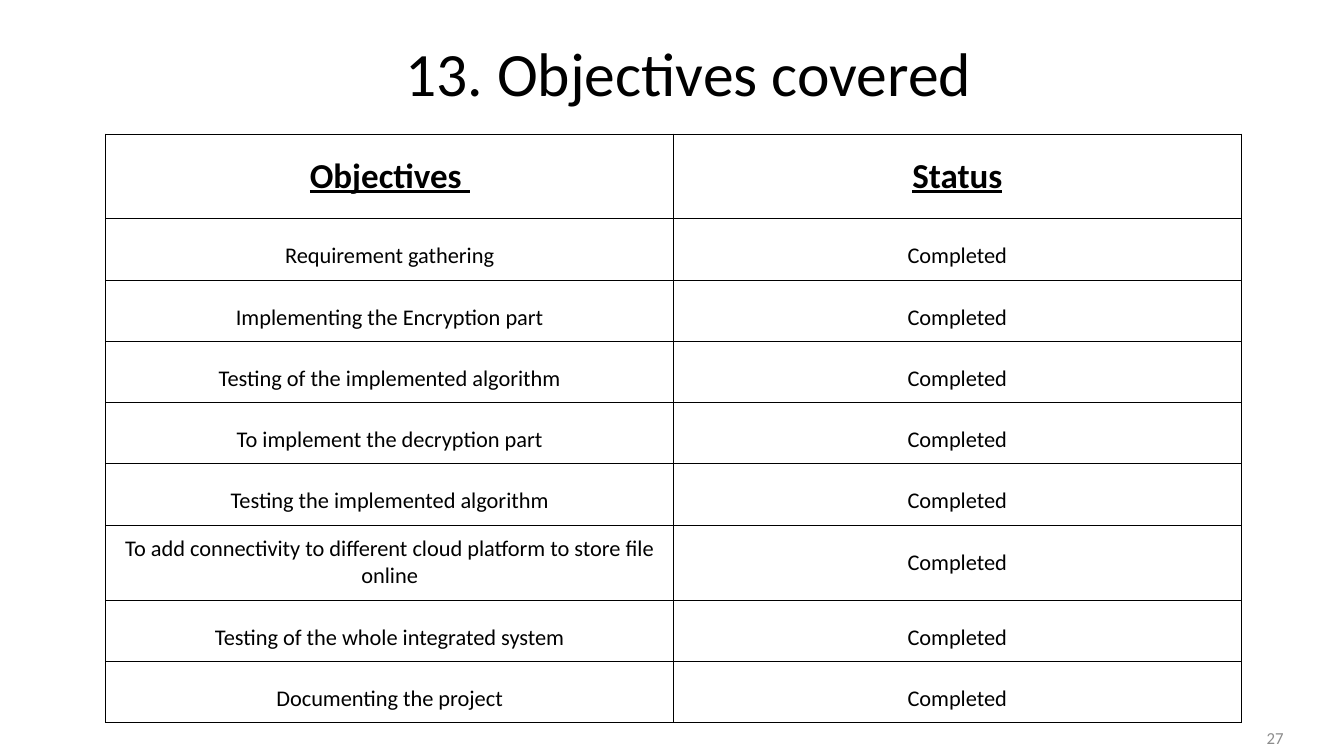
from lxml.etree import fromstring
from pptx import Presentation
from pptx.dml.color import RGBColor
from pptx.enum.text import MSO_ANCHOR as Anchor, PP_ALIGN as Align
from pptx.util import Inches, Pt

TITLE = "13. Objectives covered"
PAGE = "27"
HEADS = ["Objectives\u00a0".replace("\u00a0", " "), "Status"]
GOALS = [
    "Requirement gathering",
    "Implementing the Encryption part",
    "Testing of the implemented algorithm",
    "To implement the decryption part",
    "Testing the implemented algorithm",
    "To add connectivity to different cloud platform to store file online",
    "Testing of the whole integrated system",
    "Documenting the project",
]
STATE = "Completed"
LONG = 60
HIGH = [0.84] + [0.55] * 6 + [0.6] * 2
WIDE = 5.63
BLACK, GRAY = "000000", "8C8C8C"
NS = "http://schemas.openxmlformats.org/drawingml/2006/main"


def style(para, size, color, align, space=1.0, bold=False):
    para.alignment = align
    para.line_spacing = space
    font = para.font
    font.name, font.size = "Calibri", Pt(size)
    font.bold = font.underline = bold
    font.color.rgb = RGBColor.from_string(color)


def border(cell):
    cell.fill.background()
    props = cell._tc.get_or_add_tcPr()
    for i, side in enumerate("LRTB"):
        props.insert(i, fromstring(
            f'<a:ln{side} xmlns:a="{NS}" w="{Pt(0.75)}"><a:solidFill>'
            f'<a:srgbClr val="{BLACK}"/></a:solidFill></a:ln{side}>'))


def main():
    prs = Presentation()
    prs.slide_width, prs.slide_height = Inches(13.33), Inches(7.5)
    slide = prs.slides.add_slide(prs.slide_layouts[5])

    title = slide.shapes.title
    title.left, title.top = Inches(0.83), Inches(0.43)
    title.width, title.height = Inches(12), Inches(1.25)
    frame = title.text_frame
    frame.text = TITLE
    frame.vertical_anchor = Anchor.TOP
    frame.margin_top = 0
    style(frame.paragraphs[0], 44, BLACK, Align.CENTER, 0.9)

    rows = [HEADS] + [[goal, STATE] for goal in GOALS]
    table = slide.shapes.add_table(
        len(rows), 2, Inches(1.05), Inches(1.33),
        Inches(2 * WIDE), Inches(sum(HIGH))).table
    table.horz_banding = False
    for col in table.columns:
        col.width = Inches(WIDE)
    for r, row in enumerate(rows):
        table.rows[r].height = Inches(HIGH[r])
        for c, text in enumerate(row):
            cell = table.cell(r, c)
            cell.text = text
            cell.margin_left = cell.margin_right = Inches(0.1)
            cell.margin_top = cell.margin_bottom = Inches(0.1)
            head = r == 0
            cell.vertical_anchor = Anchor.MIDDLE if head else Anchor.TOP
            space = 1.0 if head or len(text) > LONG else 1.5
            style(cell.text_frame.paragraphs[0], 25 if head else 16,
                  BLACK, Align.CENTER, space, head)
            border(cell)

    page = slide.shapes.add_textbox(
        Inches(9.72), Inches(7.12), Inches(3.11), Inches(0.4)).text_frame
    page.word_wrap = True
    page.vertical_anchor = Anchor.MIDDLE
    page.text = PAGE
    style(page.paragraphs[0], 12, GRAY, Align.RIGHT)

    prs.save("out.pptx")


if __name__ == "__main__":
    main()
